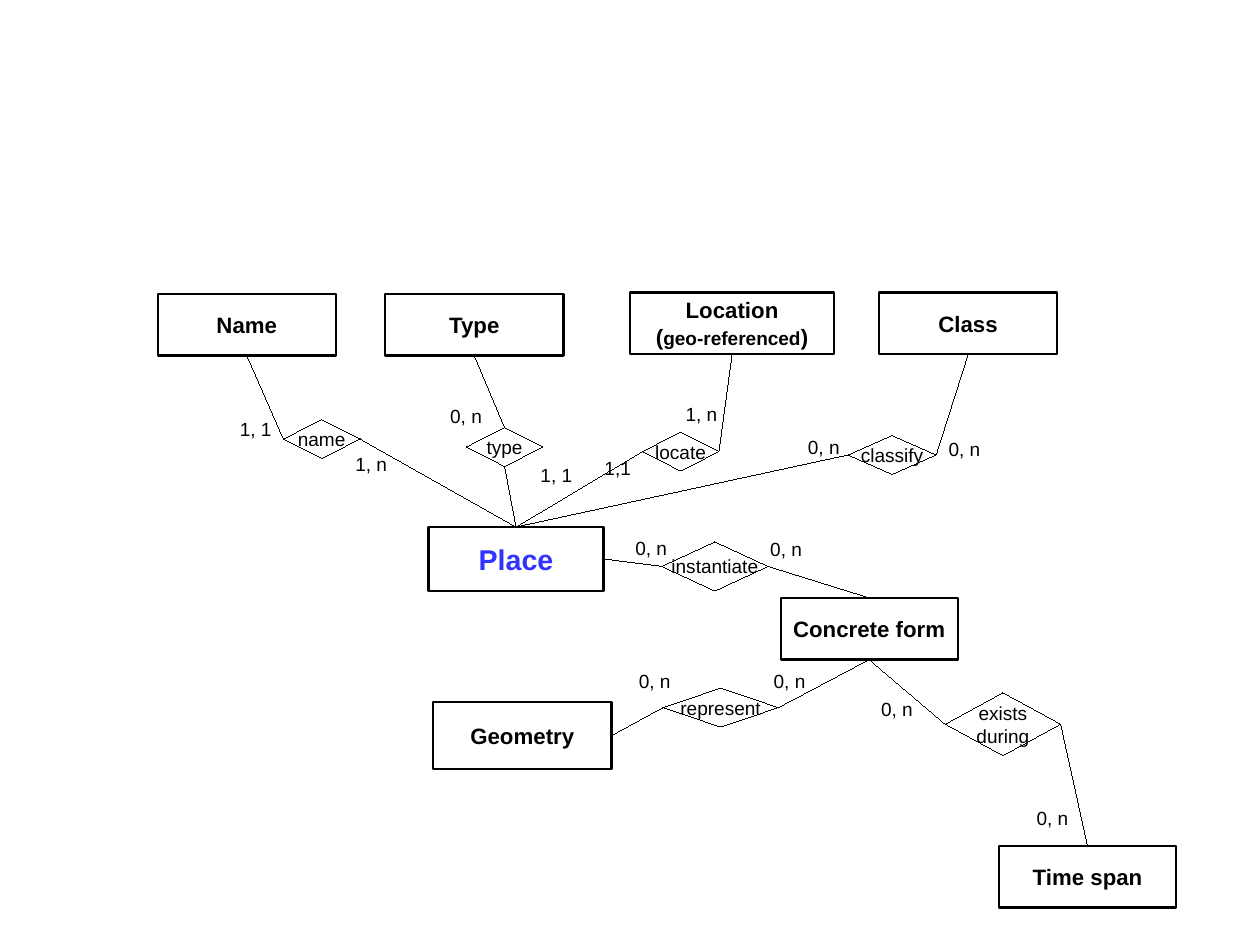
from lxml.etree import SubElement
from pptx import Presentation
from pptx.dml.color import RGBColor
from pptx.enum.shapes import MSO_CONNECTOR, MSO_SHAPE
from pptx.enum.text import MSO_ANCHOR, MSO_AUTO_SIZE, PP_ALIGN
from pptx.oxml.ns import qn
from pptx.util import Inches, Pt

BLACK = RGBColor(0, 0, 0)
WHITE = RGBColor(255, 255, 255)
BLUE = RGBColor(0x33, 0x33, 0xFF)
THIN = Pt(0.01)
THICK = Pt(1.42)
TOP, LEFT, BOTTOM, RIGHT = range(4)

ENTITIES = [
    ("Name", 1.38, 2.57, 1.56, 0.54),
    ("Type", 3.37, 2.57, 1.56, 0.54),
    ("Location", 5.51, 2.56, 1.79, 0.54),
    ("Class", 7.69, 2.56, 1.56, 0.54),
    ("Place", 3.75, 4.61, 1.53, 0.56),
    ("Concrete form", 6.83, 5.23, 1.55, 0.54),
    ("Geometry", 3.79, 6.14, 1.56, 0.59),
    ("Time span", 8.74, 7.4, 1.55, 0.54),
]
RELATIONS = [
    ("name", 2.48, 3.67, 0.67, 0.34),
    ("type", 4.08, 3.74, 0.67, 0.34),
    ("locate", 5.62, 3.78, 0.67, 0.34),
    ("classify", 7.42, 3.81, 0.77, 0.34),
    ("instantiate", 5.79, 4.74, 0.93, 0.43),
    ("represent", 5.8, 6.02, 1.01, 0.34),
    ("exists\nduring", 8.27, 6.06, 1.01, 0.55),
]
LINKS = [
    ("Name", BOTTOM, "name", LEFT),
    ("name", RIGHT, "Place", TOP),
    ("Type", BOTTOM, "type", TOP),
    ("type", BOTTOM, "Place", TOP),
    ("Location", BOTTOM, "locate", RIGHT),
    ("locate", LEFT, "Place", TOP),
    ("Class", BOTTOM, "classify", RIGHT),
    ("classify", LEFT, "Place", TOP),
    ("Place", RIGHT, "instantiate", LEFT),
    ("instantiate", RIGHT, "Concrete form", TOP),
    ("Geometry", RIGHT, "represent", LEFT),
    ("represent", RIGHT, "Concrete form", BOTTOM),
    ("Concrete form", BOTTOM, "exists\nduring", LEFT),
    ("exists\nduring", RIGHT, "Time span", TOP),
]
COUNTS = [
    ("1, 1", 2, 3.6), ("1, n", 3.01, 3.91),
    ("0, n", 3.84, 3.49), ("1, 1", 4.63, 4.01),
    ("1, n", 5.9, 3.47), ("1,1", 5.19, 3.94),
    ("0, n", 8.2, 3.78), ("0, n", 6.97, 3.76),
    ("0, n", 5.46, 4.64), ("0, n", 6.64, 4.65),
    ("0, n", 5.49, 5.81), ("0, n", 6.67, 5.81),
    ("0, n", 7.61, 6.05), ("0, n", 8.97, 7.01),
]


def set_text(frame, text, size, bold=False, color=BLACK, align=PP_ALIGN.CENTER):
    """Fill a text frame, one paragraph per line, in one font."""
    frame.word_wrap = False
    frame.text = text
    for para in frame.paragraphs:
        para.alignment = align
        para.font.name = "Arial"
        para.font.size = Pt(size)
        para.font.bold = bold
        para.font.color.rgb = color


def add_node(slide, kind, box, width):
    """Add an outlined shape with a see-through white fill."""
    node = slide.shapes.add_shape(kind, *map(Inches, box))
    node.shadow.inherit = False
    node.fill.solid()
    node.fill.fore_color.rgb = WHITE
    tint = next(node._element.spPr.iter(qn("a:srgbClr")))
    SubElement(tint, qn("a:alpha"), val="30000")
    node.line.color.rgb = BLACK
    node.line.width = width
    node.text_frame.vertical_anchor = MSO_ANCHOR.MIDDLE
    return node


def add_entity(slide, name, *box):
    """Add a bold rectangle for an entity."""
    node = add_node(slide, MSO_SHAPE.RECTANGLE, box, THICK)
    main = name == "Place"
    set_text(node.text_frame, name, 18 if main else 14, True, BLUE if main else BLACK)
    return node


def add_detail(node):
    """Add the smaller second line of the location entity."""
    frame = node.text_frame
    set_text(frame, "Location\n(", 14, True)
    para = frame.paragraphs[1]
    small = para.add_run()
    small.text = "geo-referenced"
    small.font.size = Pt(12)
    para.add_run().text = ")"


def add_relation(slide, name, *box):
    """Add a thin diamond for a relation."""
    node = add_node(slide, MSO_SHAPE.DIAMOND, box, THIN)
    set_text(node.text_frame, name, 12)
    return node


def add_link(slide, start, exit, end, entry):
    """Join two shapes with a hairline between their sites."""
    link = slide.shapes.add_connector(MSO_CONNECTOR.STRAIGHT, 0, 0, 0, 0)
    link.begin_connect(start, exit)
    link.end_connect(end, entry)
    link.line.color.rgb = BLACK
    link.line.width = THIN
    SubElement(link._element.spPr, qn("a:effectLst"))


def add_count(slide, text, left, top):
    """Add a cardinality label."""
    width = 0.28 + 0.05 * len(text)
    box = slide.shapes.add_textbox(*map(Inches, (left, top, width, 0.29)))
    set_text(box.text_frame, text, 12, align=PP_ALIGN.LEFT)
    box.text_frame.auto_size = MSO_AUTO_SIZE.SHAPE_TO_FIT_TEXT


def main():
    """Build the entity relationship slide."""
    deck = Presentation()
    deck.slide_width = Inches(28 / 2.54)
    deck.slide_height = Inches(21 / 2.54)
    slide = deck.slides.add_slide(deck.slide_layouts[6])
    nodes = {row[0]: add_entity(slide, *row) for row in ENTITIES}
    add_detail(nodes["Location"])
    nodes.update({row[0]: add_relation(slide, *row) for row in RELATIONS})
    for start, exit, end, entry in LINKS:
        add_link(slide, nodes[start], exit, nodes[end], entry)
    for count in COUNTS:
        add_count(slide, *count)
    deck.save("out.pptx")


if __name__ == "__main__":
    main()
